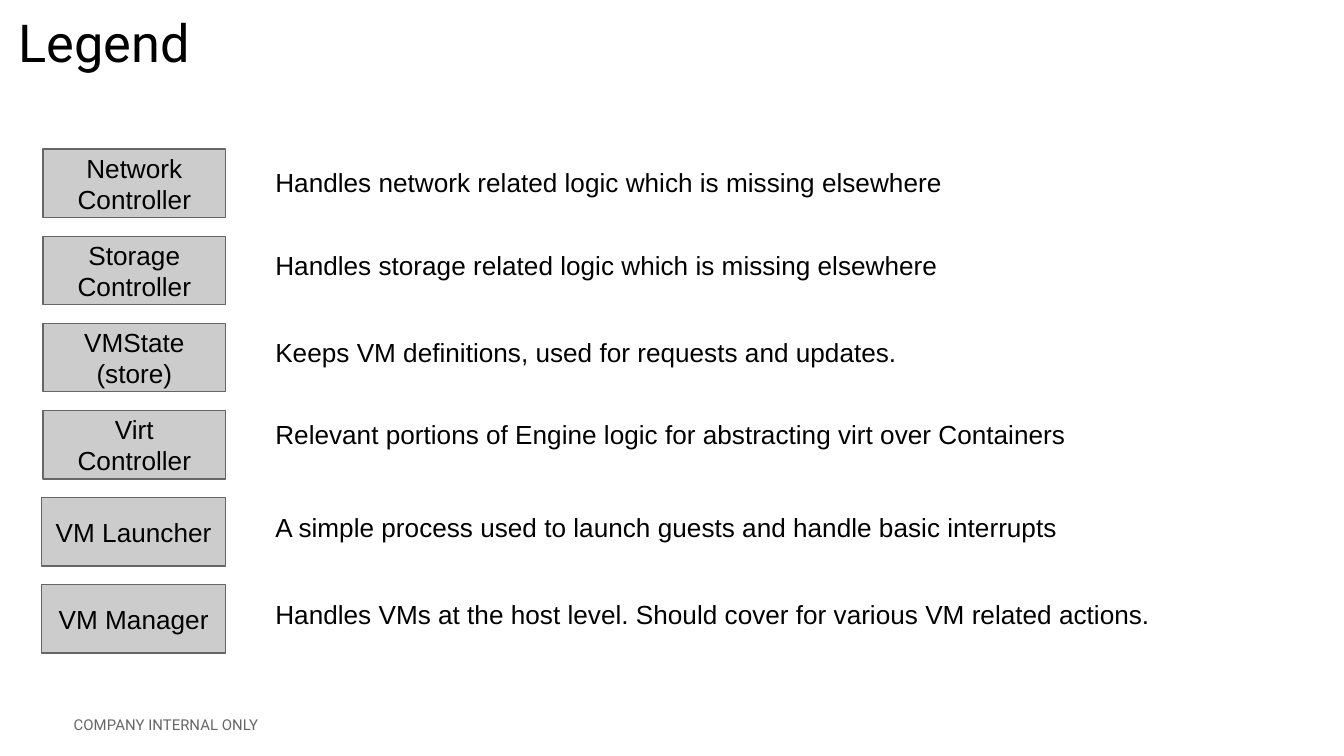
from dataclasses import dataclass

from pptx import Presentation
from pptx.dml.color import RGBColor
from pptx.enum import shapes, text
from pptx.util import Inches, Pt


@dataclass(frozen=True)
class Theme:
    ink: str = "000000"
    fill: str = "CCCCCC"
    edge: str = "666666"
    head: str = "Roboto"
    body: str = "Arial"
    title: int = 28
    label: int = 14
    foot: int = 8


theme = Theme()


def write(shape, words, face, size, color, align, anchor):
    """Put one styled paragraph into a shape with even insets."""
    frame = shape.text_frame
    frame.text = words
    frame.word_wrap = True
    frame.auto_size = text.MSO_AUTO_SIZE.NONE
    frame.vertical_anchor = anchor
    frame.margin_left = frame.margin_right = Inches(0.1)
    frame.margin_top = frame.margin_bottom = Inches(0.1)
    para = frame.paragraphs[0]
    para.alignment = align
    para.font.name = face
    para.font.size = Pt(size)
    para.font.color.rgb = RGBColor.from_string(color)


left, center = text.PP_ALIGN.LEFT, text.PP_ALIGN.CENTER
top, middle, bottom = text.MSO_ANCHOR.TOP, text.MSO_ANCHOR.MIDDLE, text.MSO_ANCHOR.BOTTOM

deck = Presentation()
deck.slide_width = Inches(10)
deck.slide_height = Inches(10 * 9 / 16)
slide = deck.slides.add_slide(deck.slide_layouts[5])

foot = slide.shapes.add_textbox(Inches(0.45), Inches(5.18), Inches(8.38), Inches(0.43))
write(foot, "COMPANY INTERNAL ONLY", theme.head, theme.foot, theme.edge, left, middle)

title = slide.shapes.title
title.left, title.top = Inches(0.04), Inches(0.01)
title.width, title.height = Inches(9.32), Inches(0.63)
write(title, "Legend", theme.head, theme.title, theme.ink, left, bottom)

# Part, what it does, left edge of its box, and how far its note sits below the box top
rows = [
    ("Network Controller", "Handles network related logic which is missing elsewhere", 0.32, 0.03),
    ("Storage Controller", "Handles storage related logic which is missing elsewhere", 0.32, 0),
    ("VMState (store)", "Keeps VM definitions, used for requests and updates.", 0.32, 0),
    ("Virt Controller",
     "Relevant portions of Engine logic for abstracting virt over Containers", 0.32, -0.04),
    ("VM Launcher", "A simple process used to launch guests and handle basic interrupts", 0.31, 0),
    ("VM Manager",
     "Handles VMs at the host level. Should cover for various VM related actions.", 0.31, 0),
]
first, last, right, height = 1.11, 4.35, 1.68, Inches(0.51)
pitch = (last - first) / (len(rows) - 1)

for i, (name, note, x, shift) in enumerate(rows):
    y = first + i * pitch
    box = slide.shapes.add_shape(
        shapes.MSO_SHAPE.RECTANGLE, Inches(x), Inches(y), Inches(right - x), height)
    box.shadow.inherit = False
    box.fill.solid()
    box.fill.fore_color.rgb = RGBColor.from_string(theme.fill)
    box.line.color.rgb = RGBColor.from_string(theme.edge)
    box.line.width = Pt(0.75)
    write(box, name, theme.body, theme.label, theme.ink, center, middle)

    label = slide.shapes.add_textbox(Inches(1.95), Inches(y + shift), Inches(6.98), height)
    write(label, note, theme.body, theme.label, theme.ink, left, top)

deck.save("out.pptx")
